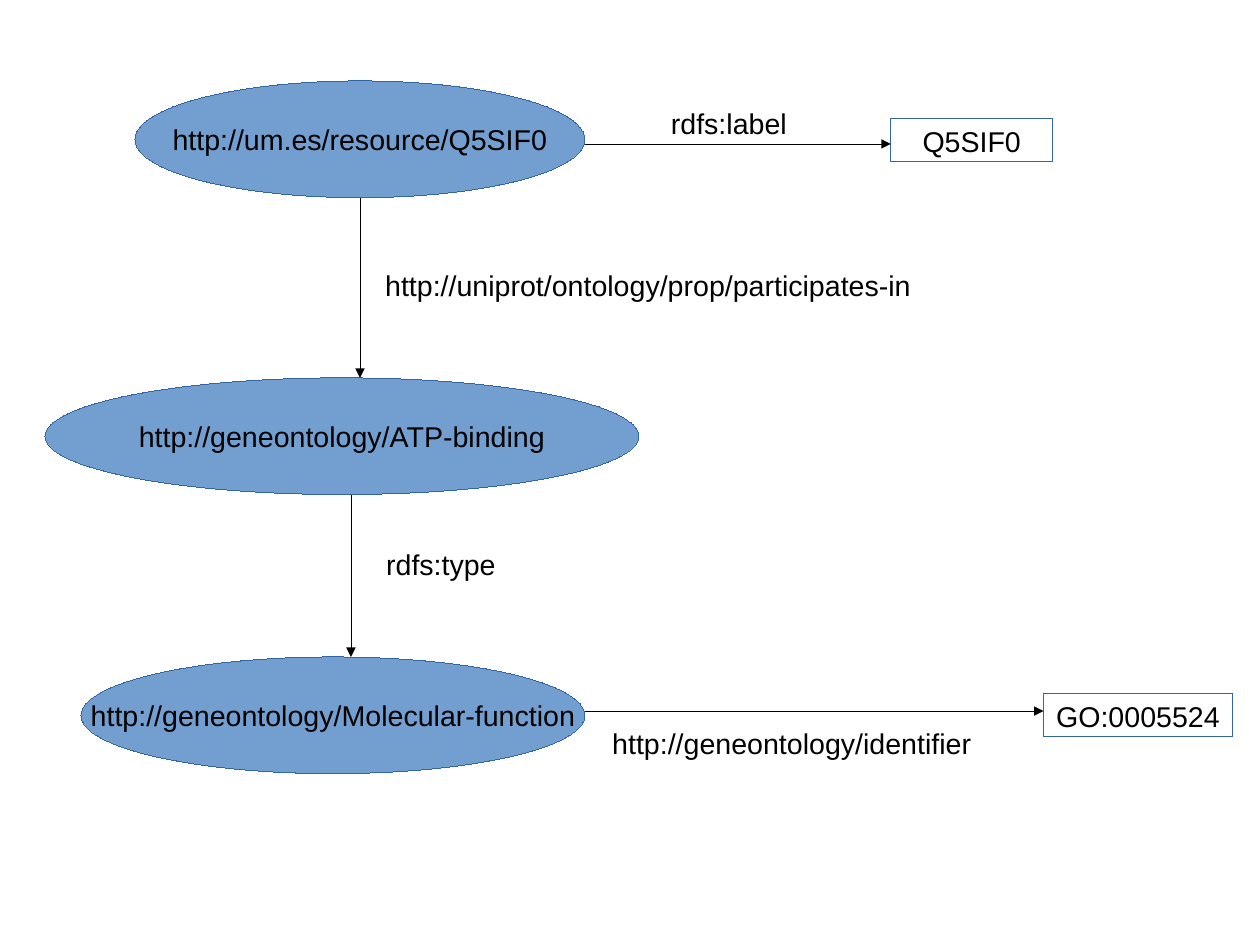
from lxml.etree import SubElement
from pptx import Presentation
from pptx.dml.color import RGBColor
from pptx.enum.shapes import MSO_CONNECTOR, MSO_SHAPE
from pptx.enum.text import MSO_ANCHOR, MSO_AUTO_SIZE, PP_ALIGN
from pptx.oxml.ns import qn
from pptx.util import Pt


def color(hex_code):
    return RGBColor.from_string(hex_code)


def write(sp, text, anchor, wrap):
    tf = sp.text_frame
    tf.text = text
    tf.word_wrap = wrap
    tf.vertical_anchor = anchor
    tf.auto_size = MSO_AUTO_SIZE.SHAPE_TO_FIT_TEXT if wrap else MSO_AUTO_SIZE.NONE
    p = tf.paragraphs[0]
    p.alignment = PP_ALIGN.CENTER
    font = p.runs[0].font
    font.name = "Arial"
    font.size = Pt(18)
    font.color.rgb = color("000000")


prs = Presentation()
prs.slide_width, prs.slide_height = Pt(793.75), Pt(595.25)
s = prs.slides.add_slide(prs.slide_layouts[6])

HAIRLINE = Pt(0.01)
ROW_H = 27.2
ELLIPSE_H = 73.5

# Resources (ellipses) and literals (boxes)
nodes = [
    (MSO_SHAPE.OVAL, 85, 51, 283.5, "http://um.es/resource/Q5SIF0"),
    (MSO_SHAPE.OVAL, 28.3, 238, 374.2, "http://geneontology/ATP-binding"),
    (MSO_SHAPE.OVAL, 51, 413.8, 317.5, "http://geneontology/Molecular-function"),
    (MSO_SHAPE.RECTANGLE, 561.2, 74.6, 102, "Q5SIF0"),
    (MSO_SHAPE.RECTANGLE, 657.4, 436.6, 119, "GO:0005524"),
]
for kind, x, y, w, text in nodes:
    is_resource = kind == MSO_SHAPE.OVAL
    h = ELLIPSE_H if is_resource else ROW_H
    sp = s.shapes.add_shape(kind, Pt(x), Pt(y), Pt(w), Pt(h))
    sp.shadow.inherit = False
    if is_resource:
        sp.fill.solid()
        sp.fill.fore_color.rgb = color("729FCF")
    else:
        sp.fill.background()
    sp.line.color.rgb = color("3465A4")
    sp.line.width = HAIRLINE
    anchor = MSO_ANCHOR.MIDDLE if is_resource else MSO_ANCHOR.TOP
    write(sp, text, anchor, not is_resource)

# Property arrows
arrows = [
    (226.8, 124.5, 226.8, 238),
    (221.1, 311.5, 221.1, 413.8),
    (368.5, 90.7, 561.2, 90.7),
    (368.5, 447.9, 657.4, 447.9),
]
for x1, y1, x2, y2 in arrows:
    arrow = s.shapes.add_connector(
        MSO_CONNECTOR.STRAIGHT, Pt(x1), Pt(y1), Pt(x2), Pt(y2))
    arrow.line.color.rgb = color("000000")
    arrow.line.width = HAIRLINE
    spPr = arrow._element.spPr
    SubElement(spPr.find(qn("a:ln")), qn("a:tailEnd"), type="triangle")
    SubElement(spPr, qn("a:effectLst"))

# Property names
labels = [
    (408.2, 63.3, 102, "rdfs:label"),
    (232.5, 165.3, 351.5, "http://uniprot/ontology/prop/participates-in"),
    (226.8, 341.1, 102, "rdfs:type"),
    (351.5, 453.6, 294.5, "http://geneontology/identifier"),
]
for x, y, w, text in labels:
    tb = s.shapes.add_textbox(Pt(x), Pt(y), Pt(w), Pt(ROW_H))
    write(tb, text, MSO_ANCHOR.TOP, True)

prs.save("out.pptx")
